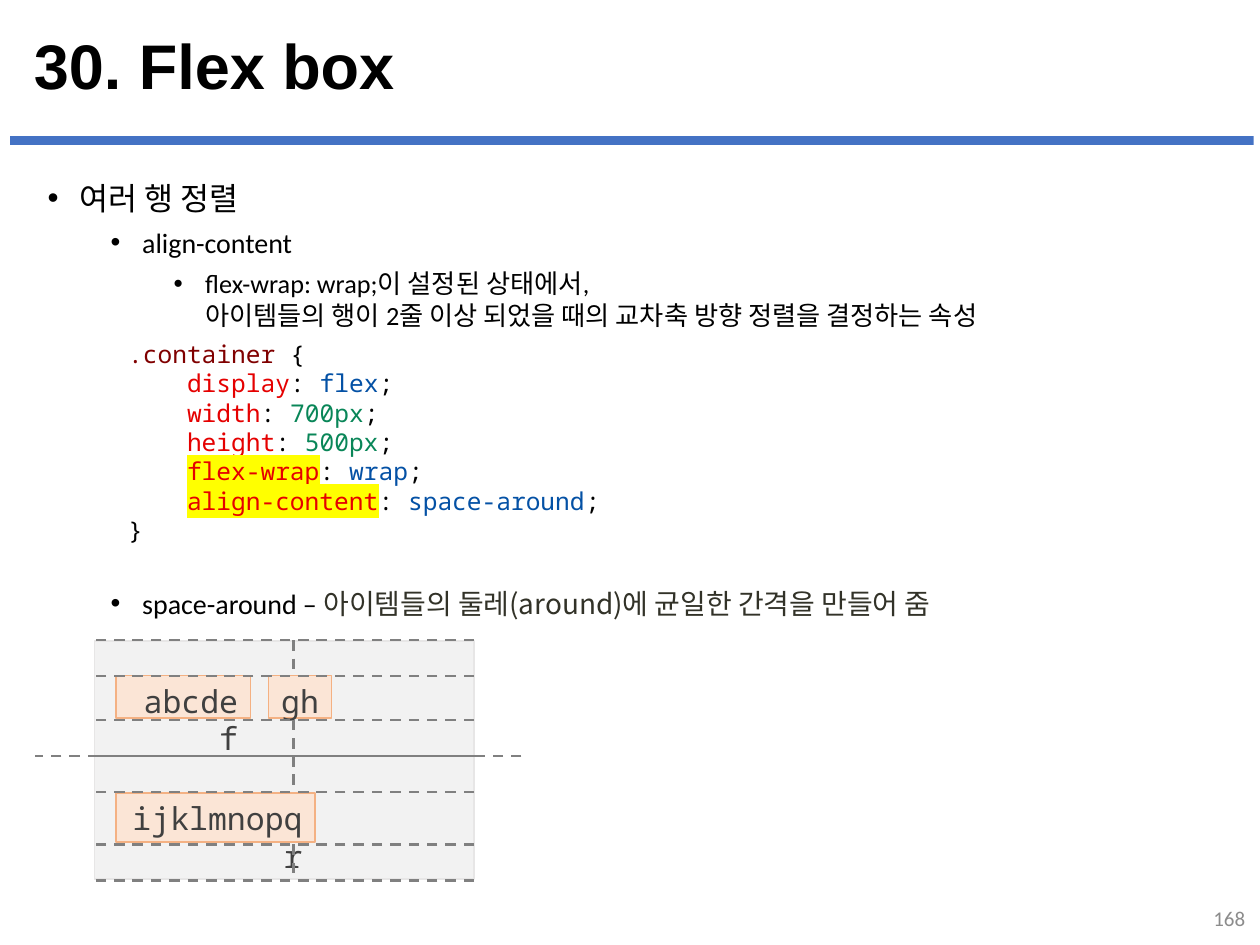
from dataclasses import dataclass

import pptx
import pptx.dml.color
import pptx.enum.shapes
import pptx.enum.dml
import pptx.enum.text
import pptx.oxml
import pptx.oxml.ns
import pptx.util

Pt = pptx.util.Pt
ALIGN = pptx.enum.text.PP_ALIGN
ANCHOR = pptx.enum.text.MSO_ANCHOR
MONO = "Noto Sans Mono"
KOREAN = "Noto Sans CJK KR"
COLORS = {
    "black": "000000", "bar": "4472C4", "number": "8C8C8C", "olive": "323228",
    "selector": "800000", "property": "E50000", "keyword": "0451A5",
    "length": "098658", "highlight": "FFFF00", "panel": "F2F2F2",
    "panel_line": "E7E6E6", "item": "FBE5D6", "item_line": "F4B183",
    "item_text": "404040", "guide": "808080",
}


@dataclass
class Bullet:
    level: int
    size: float
    text: str
    before: float
    detail: str = ""


@dataclass
class Declaration:
    name: str
    value: str
    color: str = "keyword"
    marked: bool = False


@dataclass
class Item:
    text: str
    left: float
    top: float
    width: float
    height: float


BULLETS = [
    Bullet(0, 18, "여러 행 정렬", 10),
    Bullet(1, 16, "align-content", 5),
    Bullet(2, 15, "flex-wrap: wrap;이 설정된 상태에서,\n"
                  "아이템들의 행이 2줄 이상 되었을 때의 교차축 방향 정렬을 결정하는 속성", 5),
    Bullet(1, 16, "space-around – ", 146, "아이템들의 둘레(around)에 균일한 간격을 만들어 줌"),
]
DECLARATIONS = [
    Declaration("display", "flex"),
    Declaration("width", "700px", "length"),
    Declaration("height", "500px", "length"),
    Declaration("flex-wrap", "wrap", marked=True),
    Declaration("align-content", "space-around", marked=True),
]
ITEMS = [
    Item("abcdef", 66.2, 386, 77, 24.5),
    Item("gh", 153.4, 386, 36, 24.5),
    Item("ijklmnopqr", 66.2, 453, 113.8, 28),
]
PANEL_LEFT, PANEL_RIGHT, PANEL_TOP = 54, 271, 365.8
GUIDE_X, GAP, ROW_HEIGHTS = 167.8, 20.6, (25, 29.8)


def rgb(name: str):
    return pptx.dml.color.RGBColor.from_string(COLORS[name])


def add_text(p, text: str, *, size: float, font: str = "Calibri", color: str = "black",
             bold: bool = False, east_asian: bool = False, highlight: str = "") -> None:
    for i, line in enumerate(text.split("\n")):
        if i:
            p.add_line_break()
        r = p.add_run()
        r.text = line
        r.font.size, r.font.name, r.font.bold = Pt(size), font, bold
        r.font.color.rgb = rgb(color)
        latin = r.font._element.find(pptx.oxml.ns.qn("a:latin"))
        if east_asian:
            ea = pptx.oxml.parse_xml(f'<a:ea {pptx.oxml.ns.nsdecls("a")} typeface="{font}"/>')
            latin.addnext(ea)
        if highlight:
            mark = pptx.oxml.parse_xml(
                f'<a:highlight {pptx.oxml.ns.nsdecls("a")}>'
                f'<a:srgbClr val="{COLORS[highlight]}"/></a:highlight>')
            latin.addprevious(mark)


def add_box(s, left: float, top: float, width: float, height: float):
    tf = s.shapes.add_textbox(Pt(left), Pt(top), Pt(width), Pt(height)).text_frame
    tf.word_wrap = True
    return tf


def next_paragraph(tf, first: bool):
    return tf.paragraphs[0] if first else tf.add_paragraph()


def indent(p, left: float, hanging: float = 0) -> None:
    pPr = p._p.get_or_add_pPr()
    pPr.set("marL", str(Pt(left)))
    pPr.set("indent", str(-Pt(hanging)))


def add_rect(s, left: float, top: float, width: float, height: float,
             fill: str, line: str = ""):
    sp = s.shapes.add_shape(pptx.enum.shapes.MSO_SHAPE.RECTANGLE,
                            Pt(left), Pt(top), Pt(width), Pt(height))
    sp.shadow.inherit = False
    sp.fill.solid()
    sp.fill.fore_color.rgb = rgb(fill)
    if line:
        sp.line.color.rgb = rgb(line)
        sp.line.width = Pt(1)
    else:
        sp.line.fill.background()
    return sp


def add_guide(s, x1: float, y1: float, x2: float, y2: float) -> None:
    line = s.shapes.add_connector(pptx.enum.shapes.MSO_CONNECTOR.STRAIGHT,
                                  Pt(x1), Pt(y1), Pt(x2), Pt(y2))
    line.line.color.rgb = rgb("guide")
    line.line.width = Pt(1.5)
    line.line.dash_style = pptx.enum.dml.MSO_LINE.DASH
    line._element.spPr.append(
        pptx.oxml.parse_xml(f'<a:effectLst {pptx.oxml.ns.nsdecls("a")}/>'))


def add_title(s) -> None:
    sp = s.shapes.title
    sp.left, sp.top, sp.width, sp.height = Pt(12.2), Pt(15.8), Pt(695.5), Pt(47.5)
    tf = sp.text_frame
    tf.auto_size = pptx.enum.text.MSO_AUTO_SIZE.NONE
    tf.vertical_anchor = ANCHOR.MIDDLE
    p = tf.paragraphs[0]
    p.alignment, p.line_spacing = ALIGN.LEFT, 0.9
    add_text(p, "30. Flex box", size=36, font="Arial", bold=True)


def add_bullets(s) -> None:
    tf = add_box(s, 20.2, 98.6, 676.8, 431.3)
    for i, bullet in enumerate(BULLETS):
        p = next_paragraph(tf, i == 0)
        p.level, p.space_before = bullet.level, Pt(bullet.before)
        indent(p, 18 + 36 * bullet.level, 18)
        for tag in ('buFont typeface="Arial"', 'buChar char="•"'):
            p._p.get_or_add_pPr().append(
                pptx.oxml.parse_xml(f'<a:{tag} {pptx.oxml.ns.nsdecls("a")}/>'))
        add_text(p, bullet.text, size=bullet.size)
        if bullet.detail:
            add_text(p, bullet.detail, size=bullet.size, font=KOREAN,
                     color="olive", east_asian=True)


def add_code(s) -> None:
    code = {"size": 14, "font": MONO}
    tf = add_box(s, 66.2, 190, 361.5, 126)
    p = tf.paragraphs[0]
    add_text(p, ".container", color="selector", **code)
    add_text(p, " {", **code)
    for d in DECLARATIONS:
        p = tf.add_paragraph()
        indent(p, 33.6)
        add_text(p, d.name, color="property", highlight="highlight" if d.marked else "", **code)
        add_text(p, ": ", **code)
        add_text(p, d.value, color=d.color, **code)
        add_text(p, ";", **code)
    add_text(tf.add_paragraph(), "}", **code)


def add_diagram(s) -> None:
    add_rect(s, PANEL_LEFT, 366.5, PANEL_RIGHT - PANEL_LEFT, 136, "panel", "panel_line")
    for item in ITEMS:
        sp = add_rect(s, item.left, item.top, item.width, item.height, "item", "item_line")
        tf = sp.text_frame
        tf.word_wrap, tf.vertical_anchor = True, ANCHOR.TOP
        p = tf.paragraphs[0]
        p.alignment = ALIGN.RIGHT
        add_text(p, item.text, size=18, font=MONO, color="item_text")
    y = PANEL_TOP
    for row_height in ROW_HEIGHTS:
        row_top, row_bottom = y + GAP, y + GAP + row_height
        for top in (y, row_bottom):
            add_guide(s, PANEL_RIGHT, top, PANEL_LEFT, top)
            add_guide(s, GUIDE_X, top, GUIDE_X, top + GAP)
        add_guide(s, PANEL_RIGHT, row_top, PANEL_LEFT, row_top)
        y = row_bottom + GAP
    add_guide(s, PANEL_RIGHT, y, PANEL_LEFT, y)
    middle = PANEL_TOP + 2 * GAP + ROW_HEIGHTS[0]
    add_guide(s, 298, middle, 20.2, middle)


def main() -> None:
    prs = pptx.Presentation()
    prs.slide_width, prs.slide_height = Pt(720), Pt(540)
    s = prs.slides.add_slide(prs.slide_layouts[5])
    add_rect(s, 5.8, 77.8, 710.6, 5, "bar")
    add_title(s)
    add_bullets(s)
    tf = add_box(s, 556.6, 510.5, 162, 28.8)
    tf.vertical_anchor = ANCHOR.MIDDLE
    tf.paragraphs[0].alignment = ALIGN.RIGHT
    add_text(tf.paragraphs[0], "168", size=12, color="number")
    add_code(s)
    add_diagram(s)
    prs.save("out.pptx")


if __name__ == "__main__":
    main()
